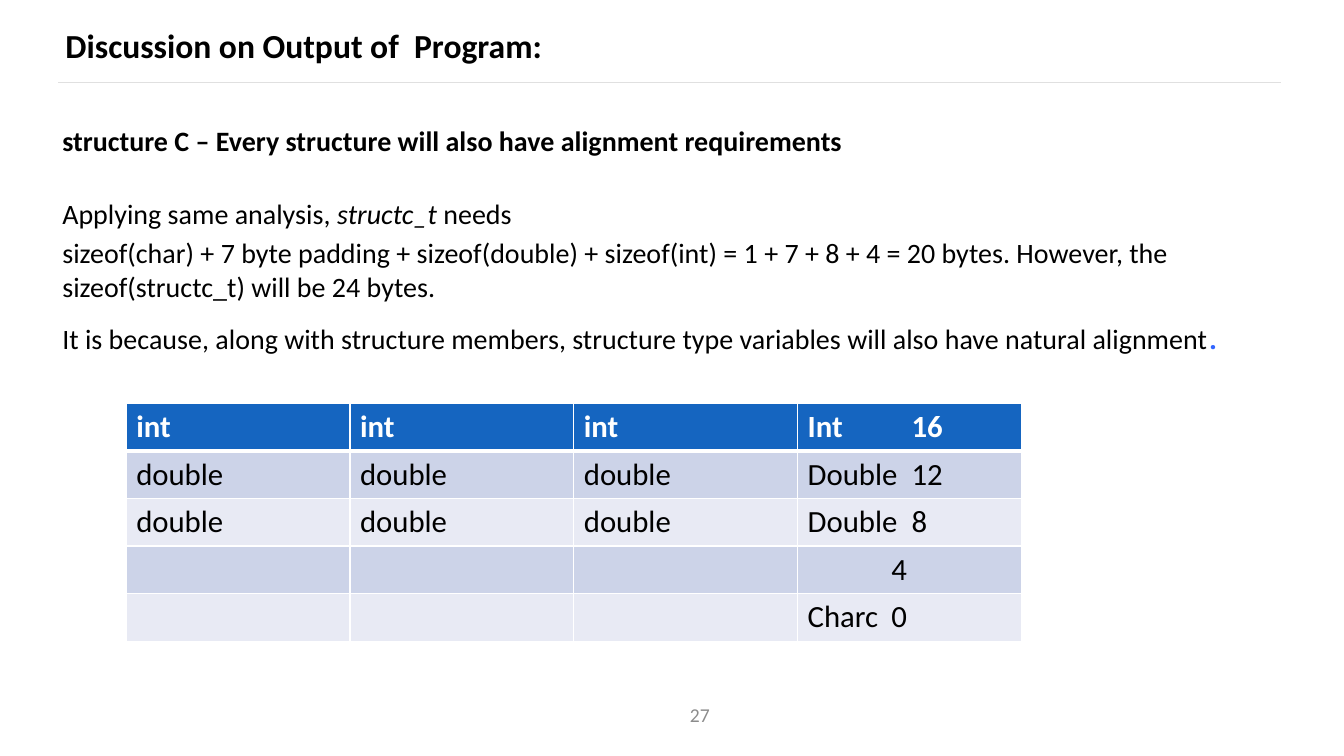
"""Build a slide on the alignment and padding of a C structure."""
from lxml.etree import SubElement
from pptx import Presentation
from pptx.dml.color import RGBColor
from pptx.enum.shapes import MSO_CONNECTOR
from pptx.enum.text import MSO_ANCHOR, MSO_AUTO_SIZE, PP_ALIGN
from pptx.oxml import parse_xml
from pptx.oxml.ns import nsdecls, qn
from pptx.util import Cm, Pt

COLORS = {
    "text": "000000", "dot": "3366FF", "rule": "E0E0E0", "number": "8C8C8C",
    "white": "FFFFFF", "header": "1565C0", "odd": "CCD3E8", "even": "E8EAF4",
}
FONT = "Calibri"
TITLE = "Discussion on Output of  Program:"
PAGE_NUMBER = "27"

# Each paragraph: space before in points, then its runs as (text, style).
BODY = [
    (0, [("structure C – Every structure will also have alignment requirements", "bold")]),
    (28, [("Applying same analysis, ", ""), ("structc_t", "italic"), (" needs", "")]),
    (4, [("sizeof(char) + 7 byte padding + sizeof(double) + sizeof(int) = 1 + 7 + 8 + 4 "
          "= 20 bytes. However, the sizeof(structc_t) will be 24 bytes.", "")]),
    (5, [("It is because, along with structure members, structure type variables "
          "will also have natural alignment", ""), (".", "dot")]),
]
MEMORY = [
    ["int", "int", "int", "Int\t16"],
    ["double", "double", "double", "Double\t12"],
    ["double", "double", "double", "Double\t8"],
    ["", "", "", "\t4"],
    ["", "", "", "Charc\t0"],
]
OFFSET_TABS = [2.62, 2.62, 2.62, 2.11, 2.11]
COLUMN_WIDTH, ROW_HEIGHT = 5.64, 1.19


def style(span, size, color="text", bold=False, italic=False, font=FONT):
    """Format one run."""
    span.font.name = font
    span.font.size = Pt(size)
    span.font.bold = bold
    span.font.italic = italic
    span.font.color.rgb = RGBColor.from_string(COLORS[color])


def place(box, left, top, width, height):
    """Move and size a shape, in centimetres."""
    box.left, box.top, box.width, box.height = map(Cm, (left, top, width, height))


def set_frame(frame, side, edge, anchor):
    """Set the margins, anchor and wrapping of a text frame."""
    frame.margin_left = frame.margin_right = Cm(side)
    frame.margin_top = frame.margin_bottom = Cm(edge)
    frame.vertical_anchor = anchor
    frame.word_wrap = True
    frame.auto_size = MSO_AUTO_SIZE.NONE


def add_rule(page):
    """Draw the thin line under the title."""
    rule = page.shapes.add_connector(
        MSO_CONNECTOR.STRAIGHT, Cm(32.28), Cm(2.08), Cm(1.47), Cm(2.08))
    rule.line.color.rgb = RGBColor.from_string(COLORS["rule"])
    rule.line.width = Pt(0.75)
    SubElement(rule._element.spPr, qn("a:effectLst"))


def fill_title(box):
    """Write the title."""
    place(box, 1.65, 0.48, 26.06, 1.32)
    set_frame(box.text_frame, 0, 0, MSO_ANCHOR.MIDDLE)
    box.text_frame.text = TITLE
    para = box.text_frame.paragraphs[0]
    para.alignment = PP_ALIGN.LEFT
    style(para.runs[0], 24, bold=True)


def fill_body(box):
    """Write the explanation without bullets."""
    place(box, 1.27, 2.97, 30.48, 12.57)
    frame = box.text_frame
    set_frame(frame, 0.3, 0.15, MSO_ANCHOR.TOP)
    for index, (space, runs) in enumerate(BODY):
        para = frame.add_paragraph() if index else frame.paragraphs[0]
        para.space_before = Pt(space)
        properties = para._p.get_or_add_pPr()
        properties.set("marL", "0")
        properties.set("indent", "0")
        SubElement(properties, qn("a:buNone"))
        for text, kind in runs:
            span = para.add_run()
            span.text = text
            if kind == "dot":
                style(span, 28, "dot", font="Roboto")
            else:
                style(span, 20, bold=kind == "bold", italic=kind == "italic")


def add_number(page):
    """Write the page number."""
    box = page.shapes.add_textbox(Cm(13.69), Cm(17.5), Cm(7.9), Cm(1.02))
    set_frame(box.text_frame, 0.3, 0.15, MSO_ANCHOR.MIDDLE)
    box.text_frame.text = PAGE_NUMBER
    para = box.text_frame.paragraphs[0]
    para.alignment = PP_ALIGN.CENTER
    style(para.runs[0], 14, "number")


def set_borders(cell, row):
    """Give a cell white borders, thicker under the header."""
    widths = {"lnL": 1, "lnR": 1, "lnT": 3 if row == 1 else 1, "lnB": 1 if row else 3}
    properties = cell._tc.get_or_add_tcPr()
    for index, (side, width) in enumerate(widths.items()):
        properties.insert(index, parse_xml(
            f'<a:{side} {nsdecls("a")} w="{Pt(width)}"><a:solidFill>'
            f'<a:srgbClr val="{COLORS["white"]}"/></a:solidFill></a:{side}>'))


def add_memory_table(page):
    """Draw the memory layout with the byte offsets in the last column."""
    columns = len(MEMORY[0])
    table = page.shapes.add_table(
        len(MEMORY), columns, Cm(3.18), Cm(10.16),
        Cm(COLUMN_WIDTH * columns), Cm(ROW_HEIGHT * len(MEMORY))).table
    for row, texts in enumerate(MEMORY):
        fill = "header" if row == 0 else ("even", "odd")[row % 2]
        for column, text in enumerate(texts):
            cell = table.cell(row, column)
            cell.fill.solid()
            cell.fill.fore_color.rgb = RGBColor.from_string(COLORS[fill])
            set_borders(cell, row)
            para = cell.text_frame.paragraphs[0]
            if "\t" in text:
                tabs = SubElement(para._p.get_or_add_pPr(), qn("a:tabLst"))
                SubElement(tabs, qn("a:tab"), pos=str(Cm(OFFSET_TABS[row])), algn="l")
            if text:
                para.text = text
                style(para.runs[0], 22, "text" if row else "white", bold=row == 0)


def main():
    """Assemble and save the slide."""
    deck = Presentation()
    deck.slide_width, deck.slide_height = Cm(33.87), Cm(19.05)
    page = deck.slides.add_slide(deck.slide_layouts[1])
    add_rule(page)
    fill_title(page.shapes.title)
    fill_body(page.placeholders[1])
    add_number(page)
    add_memory_table(page)
    deck.save("out.pptx")


if __name__ == "__main__":
    main()
